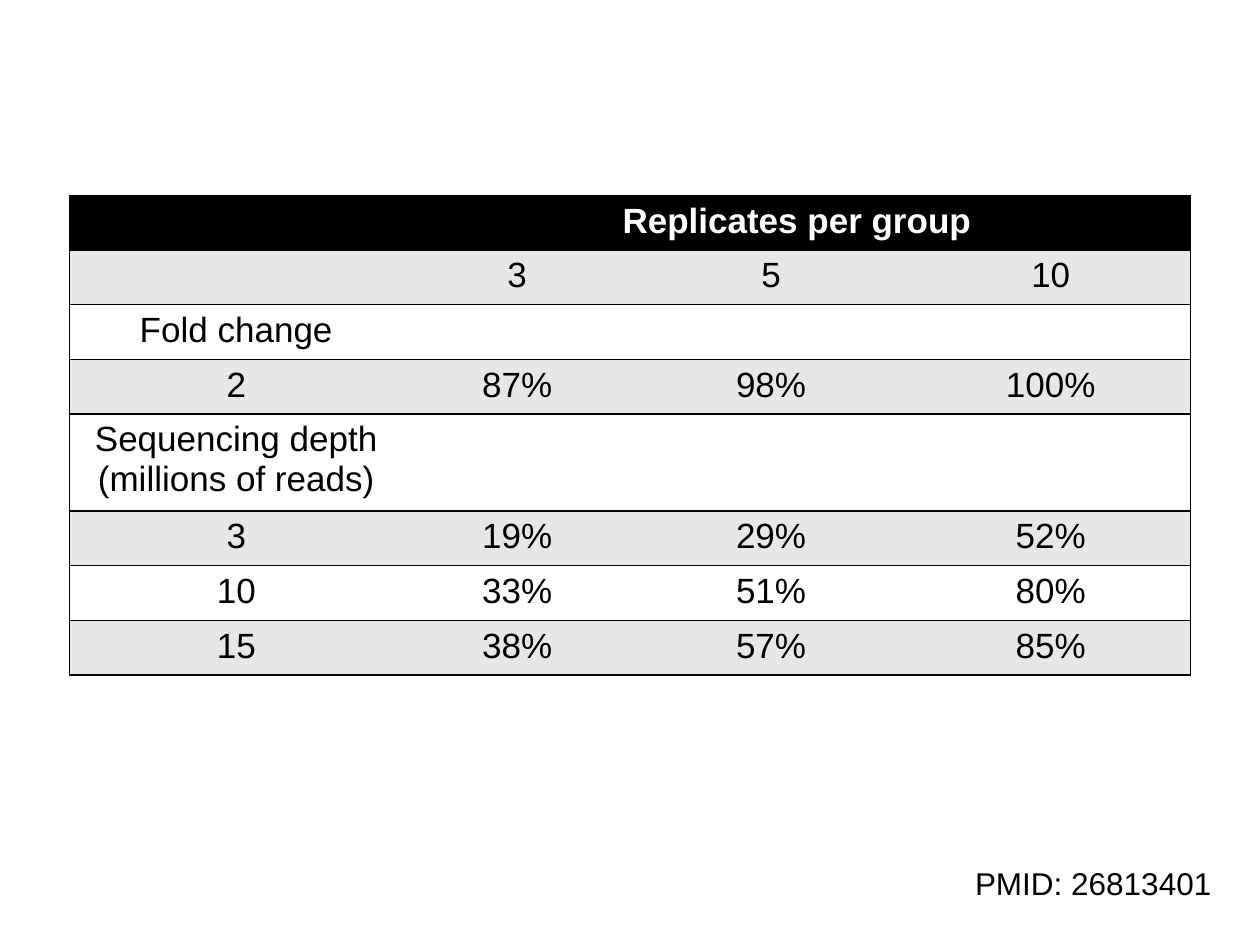
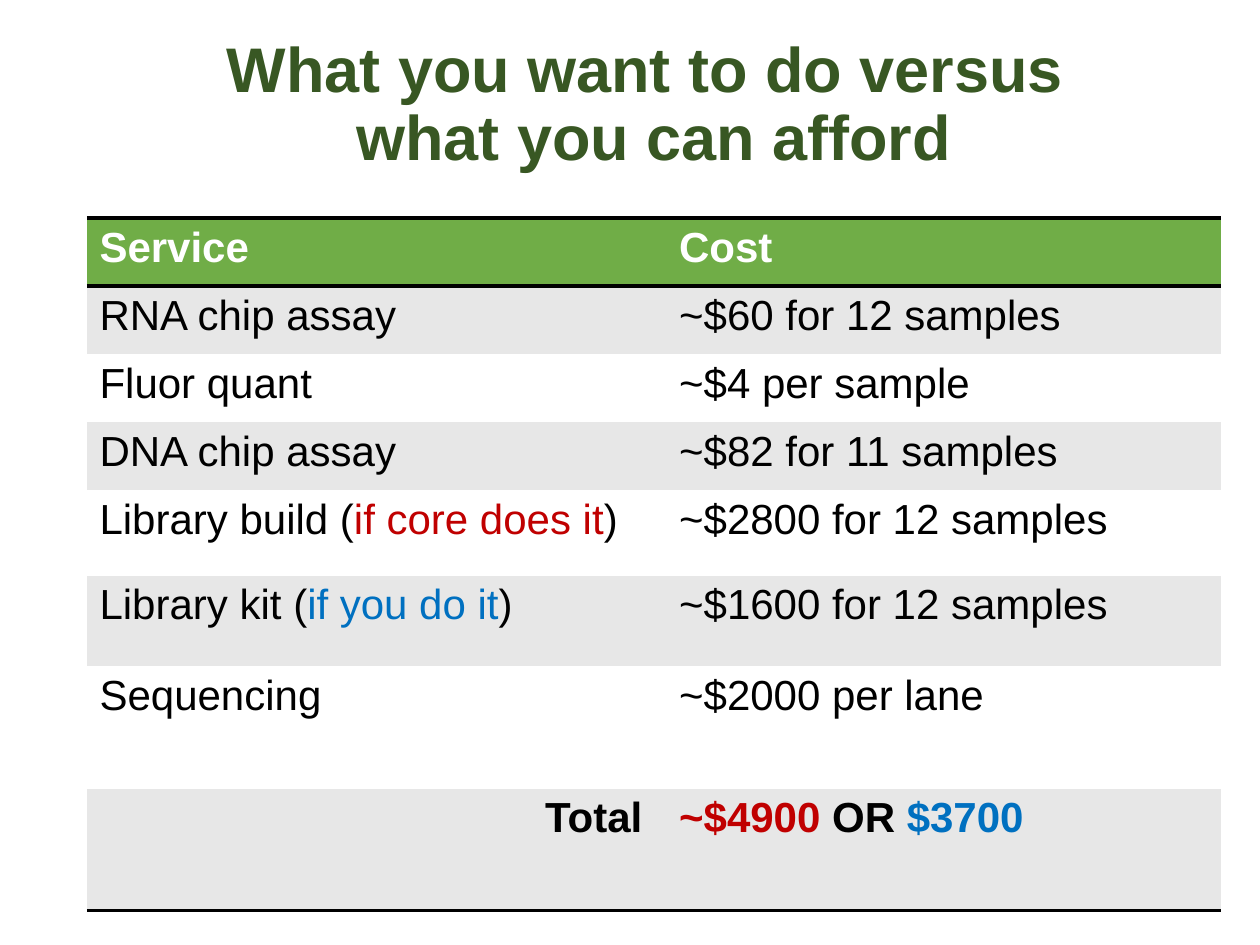
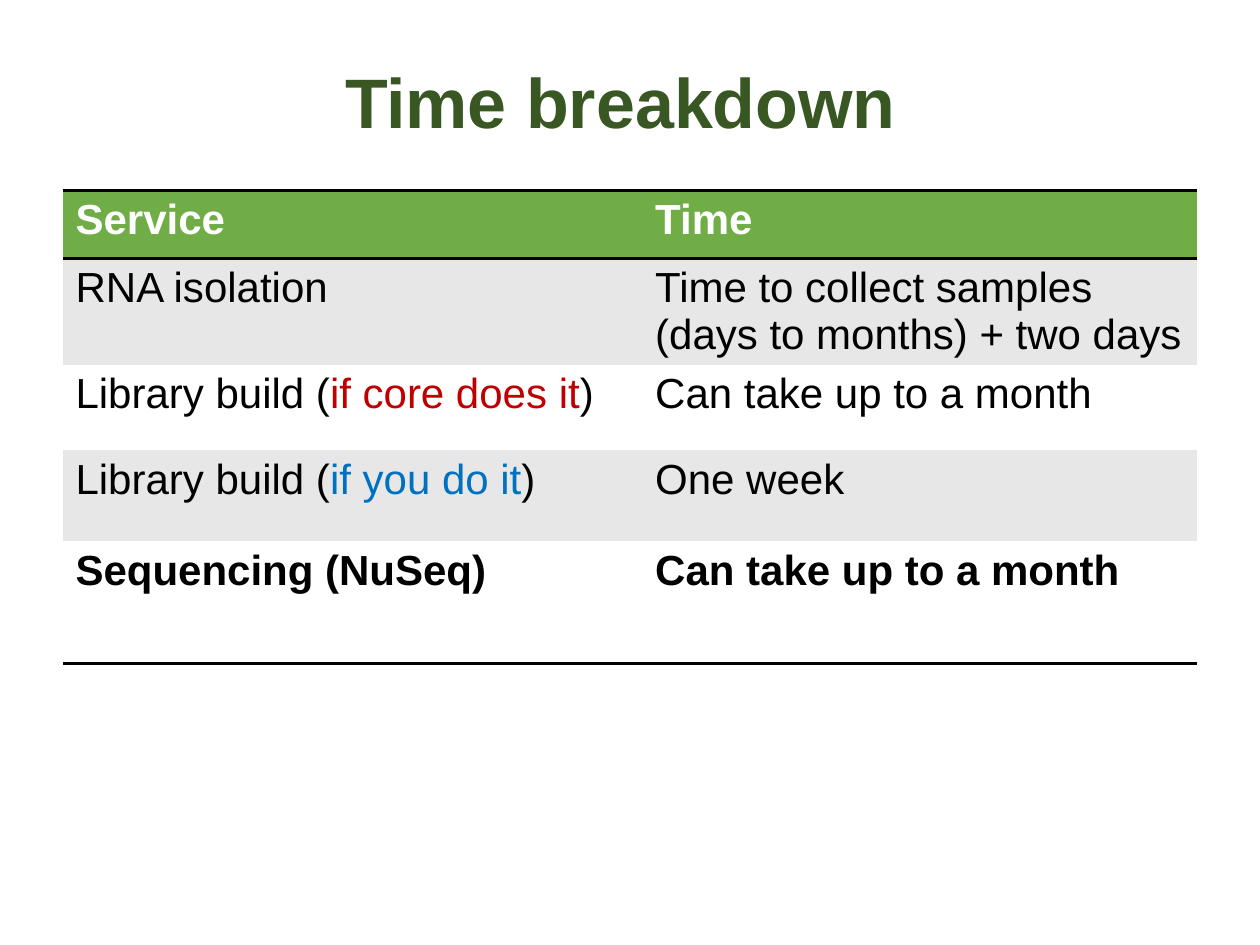
from lxml import etree
from pptx import Presentation
from pptx.dml.color import RGBColor
from pptx.enum.text import MSO_ANCHOR, MSO_AUTO_SIZE, PP_ALIGN
from pptx.oxml.ns import qn
from pptx.util import Inches, Pt

FONT = "Arial"
COLORS = {
    "black": "000000",
    "white": "FFFFFF",
    "band": "E7E7E7",
    "header": "70AD47",
    "title": "385723",
    "core": "C00000",
    "self": "0070C0",
}
NO_STYLE = "{2D5ABB26-0587-4C30-8999-92F81FD0307C}"


def add_runs(p, runs, size, color="black", bold=False):
    """Add plain text, or a list of (text, colour name) pairs."""
    if isinstance(runs, str):
        runs = [(runs, color)]
    for text, name in runs:
        r = p.add_run()
        r.text = text
        r.font.name, r.font.size, r.font.bold = FONT, Pt(size), bold
        r.font.color.rgb = RGBColor.from_string(COLORS[name])


def add_grid(s, left, top, widths, heights, rows, size, header, sides, line, bold_last=False):
    """Add a banded table; sides(row, col) names the cell borders, in L R T B order."""
    frame = s.shapes.add_table(len(rows), len(widths), Inches(left), Inches(top),
                               Inches(sum(widths)), Inches(sum(heights)))
    table = frame.table
    table.horz_banding = False
    table._tbl.tblPr.find(qn("a:tableStyleId")).text = NO_STYLE
    for column, width in zip(table.columns, widths):
        column.width = Inches(width)
    for i, (row, height) in enumerate(zip(rows, heights)):
        table.rows[i].height = Inches(height)
        for j, runs in enumerate(row):
            cell = table.cell(i, j)
            for side in sides(i, j):
                ln = etree.SubElement(cell._tc.get_or_add_tcPr(), qn(f"a:ln{side}"), w=str(Pt(line)))
                fill = etree.SubElement(ln, qn("a:solidFill"))
                etree.SubElement(fill, qn("a:srgbClr"), val=COLORS["black"])
            band = header if i == 0 else "band" if i % 2 else "white"
            cell.fill.solid()
            cell.fill.fore_color.rgb = RGBColor.from_string(COLORS[band])
            if runs:
                bold = i == 0 or (bold_last and i == len(rows) - 1)
                add_runs(cell.text_frame.paragraphs[0], runs, size, "black" if i else "white", bold)
    return table


prs = Presentation()
prs.slide_width, prs.slide_height = Inches(10), Inches(7.5)
TITLE_ONLY, BLANK = prs.slide_layouts[5], prs.slide_layouts[6]

# Slide 1: power by replicates
s = prs.slides.add_slide(BLANK)
tf = s.shapes.add_textbox(Inches(7.64), Inches(6.81), Inches(2.1), Inches(0.4)).text_frame
tf.word_wrap = False
add_runs(tf.paragraphs[0], "PMID: 26813401", 18)

power_rows = [
    ["", "Replicates per group", "", ""],
    ["", "3", "5", "10"],
    ["Fold change", "", "", ""],
    ["2", "87%", "98%", "100%"],
    ["Sequencing depth (millions of reads)", "", "", ""],
    ["3", "19%", "29%", "52%"],
    ["10", "33%", "51%", "80%"],
    ["15", "38%", "57%", "85%"],
]
power = add_grid(
    s, 0.55, 1.55, [2.65, 1.81, 2.22, 2.22], [0.43] * 4 + [0.77] + [0.43] * 3, power_rows, 20,
    "black", lambda i, j: ("L" if j == 0 else "") + ("R" if j == 3 or (i == 0 and j == 1) else "") + "TB", 1)
power.cell(0, 1).merge(power.cell(0, 3))
for cell in power.iter_cells():
    cell.text_frame.paragraphs[0].alignment = PP_ALIGN.CENTER

# Slides 2 and 3: a title over a two-column service table
if_core = ("if core does it", "core")
if_self = ("if you do it", "self")
close = (")", "black")
library_build = ("Library build (", "black")

cost_rows = [
    ["Service", "Cost"],
    ["RNA chip assay", "~$60 for 12 samples"],
    ["Fluor quant", "~$4 per sample"],
    ["DNA chip assay", "~$82 for 11 samples"],
    [[library_build, if_core, close], "~$2800 for 12 samples"],
    [[("Library kit (", "black"), if_self, close], "~$1600 for 12 samples"],
    ["Sequencing", "~$2000 per lane"],
    ["Total ", [("~$4900 ", "core"), ("OR ", "black"), ("$3700", "self")]],
]
time_rows = [
    ["Service", "Time"],
    ["RNA isolation", "Time to collect samples (days to months) + two days"],
    [[library_build, if_core, close], "Can take up to a month"],
    [[library_build, if_self, close], "One week"],
    ["Sequencing (NuSeq)", "Can take up to a month"],
]
service_slides = [
    (["What you want to do versus ", "what you can afford"], 36, (0.88, 0.29, 8.62, 1.1),
     (0.69, 1.73), [0.54] * 4 + [0.68, 0.72, 0.97, 0.97], cost_rows),
    (["Time breakdown "], 40, (0.69, 0.4, 8.62, 0.88),
     (0.5, 1.51), [0.54, 0.84, 0.68, 0.72, 0.97], time_rows),
]
for lines, size, box, (left, top), heights, rows in service_slides:
    s = prs.slides.add_slide(TITLE_ONLY)
    title = s.shapes.title
    title.left, title.top, title.width, title.height = map(Inches, box)
    tf = title.text_frame
    tf.auto_size, tf.vertical_anchor = MSO_AUTO_SIZE.NONE, MSO_ANCHOR.MIDDLE
    p = tf.paragraphs[0]
    p.alignment, p.line_spacing = PP_ALIGN.CENTER, 0.9
    for n, text in enumerate(lines):
        if n:
            p.add_line_break()
        add_runs(p, text, size, "title", True)

    last = len(rows) - 1
    services = add_grid(s, left, top, [4.6, 4.4], heights, rows, 24, "header",
                        lambda i, j: "TB" if i == 0 else "B" if i == last else "", 2, bold_last=True)
    if rows is cost_rows:
        services.cell(last, 0).text_frame.paragraphs[0].alignment = PP_ALIGN.RIGHT

prs.save("out.pptx")
